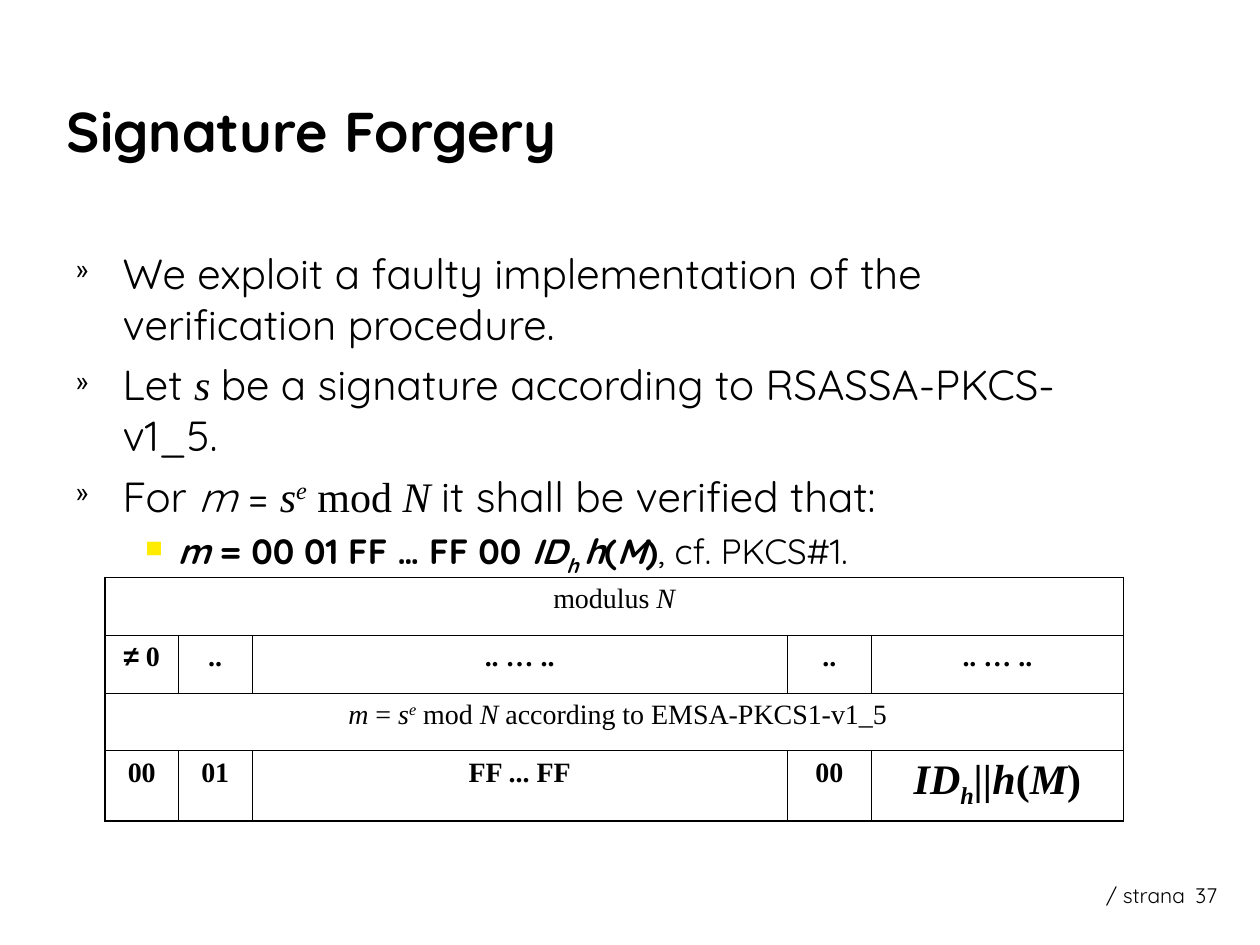
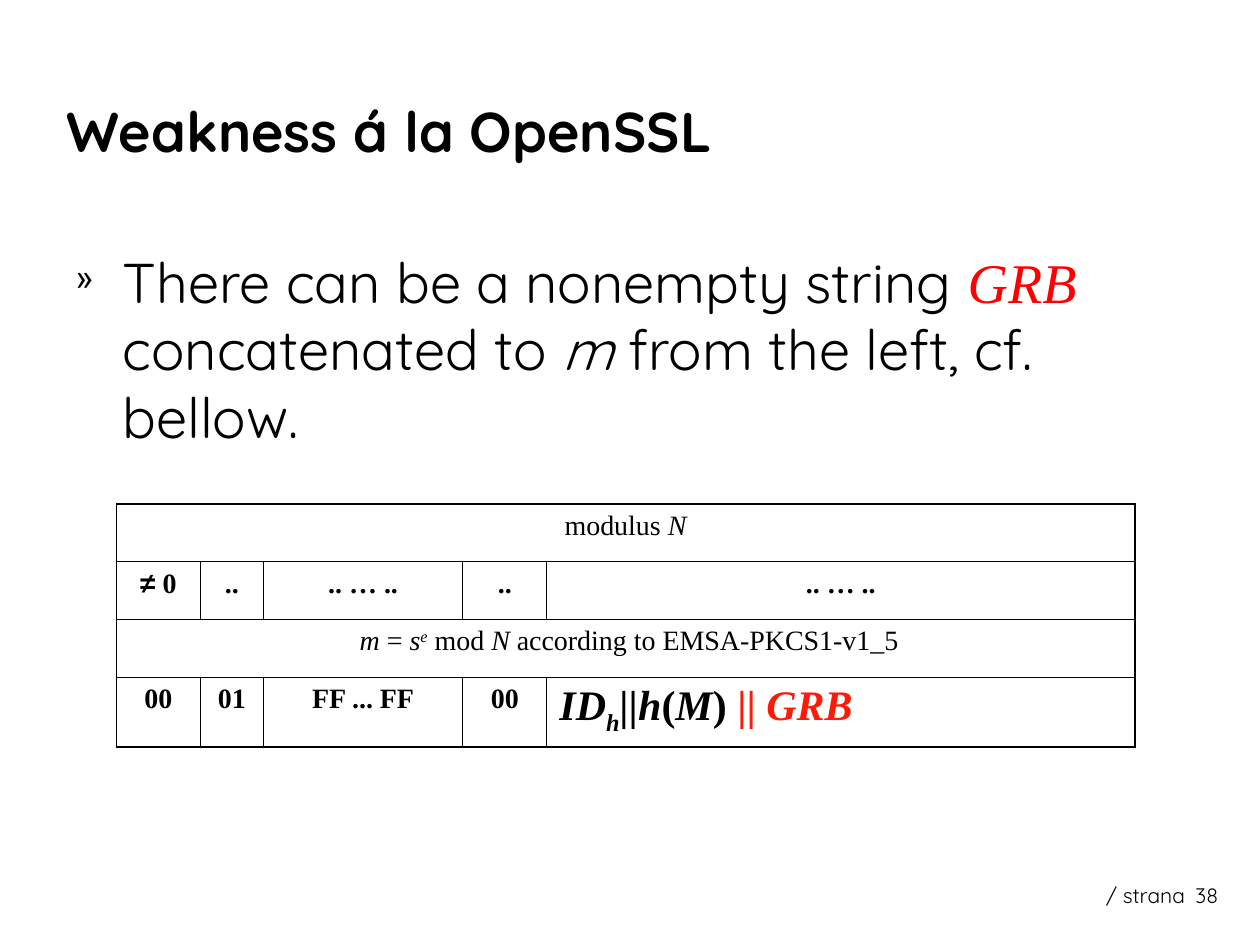
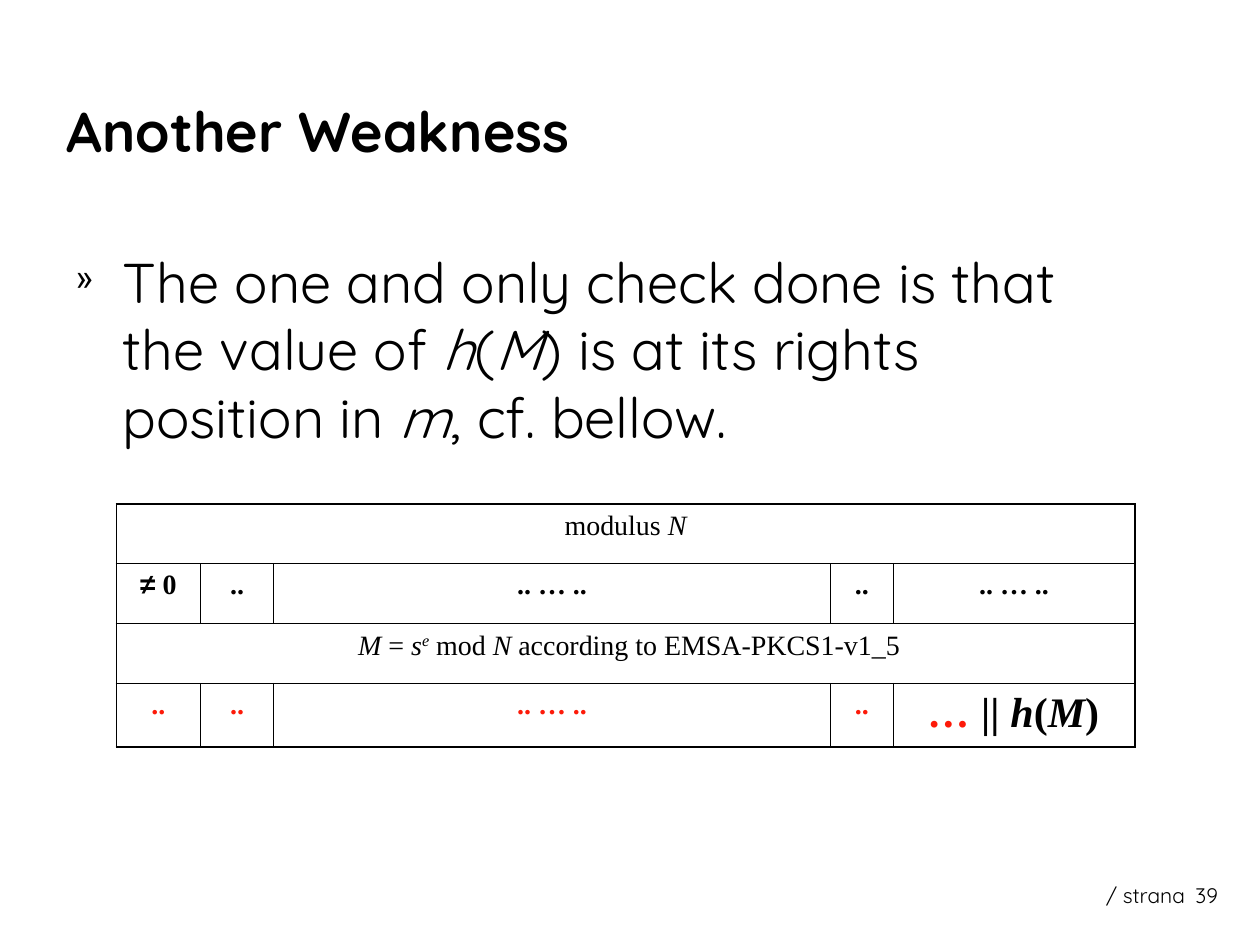
from lxml import etree
from pptx import Presentation
from pptx.dml.color import RGBColor
from pptx.enum.text import MSO_ANCHOR, PP_ALIGN
from pptx.oxml.ns import qn
from pptx.util import Pt

MIDDLE = MSO_ANCHOR.MIDDLE
CENTER, LEFT = PP_ALIGN.CENTER, PP_ALIGN.LEFT

SANS, SERIF, SYMBOL = "Quicksand", "Times New Roman", "Arial"
BLACK, RED, SCARLET, YELLOW = "000000", "FF0000", "FD1A09", "FFEC01"
FONTS = {"t": SERIF, "a": SYMBOL}
COLORS = {"r": RED, "s": SCARLET}
SHIFTS = {"^": "30000", "_": "-25000"}
THICK, THIN = 1.08, 0.45
PLAIN_GRID = "{2D5ABB26-0587-4C30-8999-92F81FD0307C}"

# Bullet levels: sign, colour, size in percent, left margin, hanging indent
LEVELS = [("»", BLACK, 60, 27, 27), ("▪", YELLOW, 120, 58.5, 22.5)]


def color(code):
    return RGBColor.from_string(code)


def add_runs(para, runs, size, font):
    """Add (text, flags) runs: b bold, i italic, ^ _ shift, others font or colour."""
    for text, flags in runs:
        run = para.add_run()
        run.text = text
        style = run.font
        style.size = Pt(size)
        style.bold = "b" in flags
        style.italic = "i" in flags
        style.name = next((FONTS[f] for f in flags if f in FONTS), font)
        code = next((COLORS[f] for f in flags if f in COLORS), BLACK)
        style.color.rgb = color(code)
        for flag in flags:
            if flag in SHIFTS:
                run._r.get_or_add_rPr().set("baseline", SHIFTS[flag])


def add_box(slide, left, top, width, height):
    frame = slide.shapes.add_textbox(Pt(left), Pt(top), Pt(width), Pt(height)).text_frame
    frame.word_wrap = True
    return frame


def add_label(slide, text, spot, size, flags=""):
    frame = add_box(slide, *spot)
    add_runs(frame.paragraphs[0], [(text, flags)], size, SANS)
    return frame


def add_bullet(para, level):
    sign, code, scale, margin, hang = LEVELS[level]
    props = para._p.get_or_add_pPr()
    props.set("marL", str(Pt(margin)))
    props.set("indent", str(-Pt(hang)))
    props.set("lvl", str(level))
    tint = etree.SubElement(props, qn("a:buClr"))
    etree.SubElement(tint, qn("a:srgbClr"), val=code)
    etree.SubElement(props, qn("a:buSzPct"), val=str(scale * 1000))
    etree.SubElement(props, qn("a:buChar"), char=sign)


def add_body(slide, items):
    """Add bulleted paragraphs given as (level, size, runs)."""
    frame = add_box(slide, 36, 138, 612, 324)
    for i, (level, size, runs) in enumerate(items):
        para = frame.add_paragraph() if i else frame.paragraphs[0]
        if i:
            para.space_before = Pt(size / 4)
        add_bullet(para, level)
        add_runs(para, runs, size, SANS)


def set_edges(cell, widths):
    props = cell._tc.get_or_add_tcPr()
    for side, width in zip("LRTB", widths):
        line = etree.SubElement(props, qn("a:ln" + side), w=str(Pt(width)))
        fill = etree.SubElement(line, qn("a:solidFill"))
        etree.SubElement(fill, qn("a:srgbClr"), val=BLACK)


def add_grid(slide, left, top, cols, rows, cells, last_align=CENTER):
    """Add the table; a row with a single entry spans all columns."""
    table = slide.shapes.add_table(len(rows), len(cols), Pt(left), Pt(top),
                                   Pt(sum(cols)), Pt(sum(rows))).table
    table.first_row = table.horz_banding = False
    table._tbl.tblPr.find(qn("a:tableStyleId")).text = PLAIN_GRID
    for col, width in zip(table.columns, cols):
        col.width = Pt(width)
    for row, height in zip(table.rows, rows):
        row.height = Pt(height)
    for r, entries in enumerate(cells):
        if len(entries) == 1:
            table.cell(r, 0).merge(table.cell(r, len(cols) - 1))
        for c, runs in enumerate(entries):
            cell = table.cell(r, c)
            final_row, final_col = r == len(rows) - 1, c == len(entries) - 1
            outer = (c == 0, final_col, r == 0, final_row)
            set_edges(cell, [THICK if edge else THIN for edge in outer])
            cell.fill.background()
            corner = final_row and final_col
            para = cell.text_frame.paragraphs[0]
            para.alignment = last_align if corner else CENTER
            add_runs(para, runs, 24 if corner else 16, SERIF)


def key_rows(name, values, result):
    """Return the four table rows: modulus, its bytes, the equation, its bytes."""
    dots = [[(text, "b")] for text in ("..", ".. … ..", "..", ".. … ..")]
    return [
        [[("modulus ", ""), ("N", "i")]],
        [[("≠", "ab"), (" 0", "b")]] + dots,
        [[(" ", ""), (name, "i"), (" = ", ""), ("s", "i"), ("e", "i^"),
          (" mod ", ""), ("N ", "i"), ("according to EMSA-PKCS1-v1_5", "")]],
        values + [result],
    ]


def add_page(deck, title, number):
    slide = deck.slides.add_slide(deck.slide_layouts[6])
    add_label(slide, title, (31, 54.5, 493, 40), 32, "b").vertical_anchor = MIDDLE
    add_label(slide, "/ strana", (625, 501, 60, 18), 12)
    add_label(slide, str(number), (676, 501, 48, 18), 12)
    return slide


def main():
    deck = Presentation()
    deck.slide_width, deck.slide_height = Pt(720), Pt(540)

    padded = [[(text, "b")] for text in ("00", "01", "FF ... FF", "00")]
    unknown = [[(text, "bs")] for text in ("..", "..", ".. … ..", "..")]
    digest = [("h", "bi"), ("(", "b"), ("M", "bi")]
    tagged = [("ID", "bi"), ("h", "bi_"), ("||", "bi")] + digest
    even = [33, 33, 33, 40]

    slide = add_page(deck, "Signature Forgery", 37)
    add_body(slide, [
        (0, 24, [("We exploit a faulty implementation of the verification procedure.", "")]),
        (0, 24, [("Let ", ""), ("s ", "ti"),
                 ("be a signature according to RSASSA-PKCS-v1_5.", "")]),
        (0, 24, [("For ", ""), ("m", "i"), (" = ", ""), ("s", "ti"), ("e", "ti^"),
                 (" mod ", "t"), ("N ", "ti"), ("it shall be verified that:", "")]),
        (1, 20, [("m", "bi"), (" = 00 01 FF … FF 00 ", "b"), ("ID", "bi"), ("h ", "bi_")]
         + digest + [(")", "b"), (", cf. PKCS#1.", "")]),
    ])
    add_grid(slide, 60, 330, [42, 42, 306, 48, 144], even,
             key_rows("m", padded, tagged + [(")", "b")]))

    slide = add_page(deck, "Weakness á la OpenSSL", 38)
    add_body(slide, [
        (0, 32, [("There can be a nonempty string ", ""), ("GRB ", "tir"),
                 ("concatenated to ", ""), ("m", "i"), (" from the left, cf. bellow.", "")]),
    ])
    garbage = [(") ", "b"), ("|| ", "bs"), ("GRB", "bis")]
    add_grid(slide, 66.5, 288, [48, 36, 114, 48, 336], even,
             key_rows("m", padded, tagged + garbage), LEFT)

    slide = add_page(deck, "Another Weakness", 39)
    add_body(slide, [
        (0, 32, [("The one and only check done is that the value of ", ""), ("h", "i"),
                 ("(", ""), ("M", "i"), (") is at its rights position in ", ""),
                 ("m", "i"), (", cf. bellow.", "")]),
    ])
    loose = [("…", "bis"), (" || ", "bi")] + digest + [(")", "b")]
    add_grid(slide, 66.5, 288, [48, 42, 318, 36, 138], [34, 34.5, 34, 36.5],
             key_rows("M", unknown, loose))

    deck.save("out.pptx")


if __name__ == "__main__":
    main()
